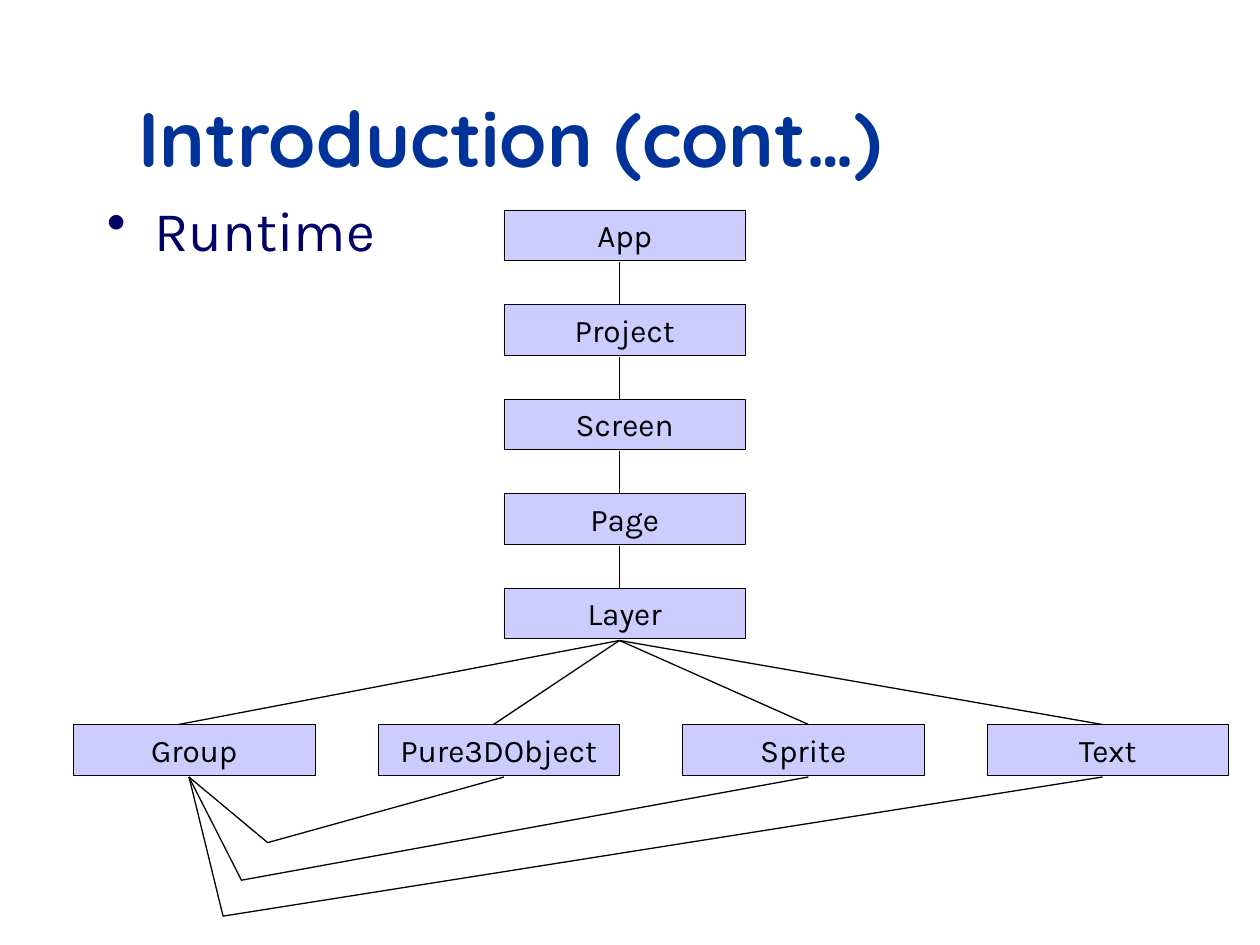
import pptx
import pptx.util
import pptx.dml.color
import pptx.enum.shapes
import pptx.enum.text
import pptx.oxml
import pptx.oxml.ns

Pt = pptx.util.Pt
Align = pptx.enum.text.PP_ALIGN
Anchor = pptx.enum.text.MSO_ANCHOR
Fit = pptx.enum.text.MSO_AUTO_SIZE


def paint(text):
    return pptx.dml.color.RGBColor.from_string(text)


class Deck:
    head = "Quicksand"
    body = "Karla"
    blue = "003399"
    navy = "000066"
    fill = "CCCCFF"
    ink = "000000"

    def __init__(self, width, height):
        self.file = pptx.Presentation()
        self.file.slide_width = Pt(width)
        self.file.slide_height = Pt(height)
        self.slide = None

    def start(self):
        self.slide = self.file.slides.add_slide(self.file.slide_layouts[5])

    def label(self, shape, text, size, font, color, align, anchor, fit):
        frame = shape.text_frame
        frame.word_wrap = True
        frame.auto_size = fit
        frame.vertical_anchor = anchor
        para = frame.paragraphs[0]
        para.alignment = align
        run = para.add_run()
        run.text = text
        run.font.size = Pt(size)
        run.font.name = font
        run.font.color.rgb = paint(color)
        return para, run

    def title(self, text, left, top, width, height):
        shape = self.slide.shapes.title
        shape.left, shape.top = Pt(left), Pt(top)
        shape.width, shape.height = Pt(width), Pt(height)
        para, run = self.label(shape, text, 44, self.head, self.blue,
                               Align.LEFT, Anchor.MIDDLE, Fit.NONE)
        run.font.bold = True

    def bullet(self, text, left, top, width, height):
        shape = self.slide.shapes.add_textbox(Pt(left), Pt(top), Pt(width), Pt(height))
        para, run = self.label(shape, text, 32, self.body, self.navy,
                               Align.LEFT, Anchor.TOP, Fit.NONE)
        props = para._p.get_or_add_pPr()
        props.set("marL", str(Pt(27)))
        props.set("indent", str(-Pt(27)))
        space = pptx.oxml.ns.nsdecls("a")
        for part in (f'<a:buClr {space}><a:srgbClr val="{self.navy}"/></a:buClr>',
                     f'<a:buChar {space} char="•"/>'):
            props.append(pptx.oxml.parse_xml(part))

    def box(self, text, left, top, width, height):
        kind = pptx.enum.shapes.MSO_SHAPE.RECTANGLE
        shape = self.slide.shapes.add_shape(kind, Pt(left), Pt(top), Pt(width), Pt(height))
        shape.shadow.inherit = False
        shape.fill.solid()
        shape.fill.fore_color.rgb = paint(self.fill)
        self.stroke(shape, 0.25)
        self.label(shape, text, 18, self.body, self.ink,
                   Align.CENTER, Anchor.TOP, Fit.SHAPE_TO_FIT_TEXT)

    def stroke(self, shape, width):
        shape.line.color.rgb = paint(self.ink)
        shape.line.width = Pt(width)

    def line(self, *ends):
        kind = pptx.enum.shapes.MSO_CONNECTOR.STRAIGHT
        link = self.slide.shapes.add_connector(kind, *map(Pt, ends))
        self.stroke(link, 0.75)
        props = link._element.spPr
        props.append(props.makeelement(pptx.oxml.ns.qn("a:effectLst"), {}))

    def bend(self, first, *rest):
        form = self.slide.shapes.build_freeform(Pt(first[0]), Pt(first[1]))
        form.add_line_segments([(Pt(x), Pt(y)) for x, y in rest], close=False)
        shape = form.convert_to_shape()
        shape.shadow.inherit = False
        shape.fill.background()
        self.stroke(shape, 0.75)

    def save(self):
        self.file.save("out.pptx")


def main():
    deck = Deck(720, 540)
    deck.start()
    deck.title("Introduction (cont…)", 72, 48, 522, 60)
    deck.bullet("Runtime", 54, 108, 624, 408)

    wide, high = 138, 29
    top, step = 120, 54
    stem, row = 354, 414
    chain = ("App", "Project", "Screen", "Page", "Layer")
    for i, name in enumerate(chain):
        deck.box(name, 288, top + i * step, wide, high)
    for i, name in enumerate(("Group", "Pure3DObject", "Sprite", "Text")):
        deck.box(name, 42 + i * 174, row, wide, high)

    for i in range(len(chain) - 1):
        deck.line(stem, top + 30 + i * step, stem, top + (i + 1) * step)
    for x in (102, 282, 462, 630):
        deck.line(stem, 366, x, row)

    base = row + 30
    for turn, end in (((153, 481.5), 288), ((138, 503), 462), ((127.5, 523.5), 630)):
        deck.bend((108, base), turn, (end, base))
    deck.save()


if __name__ == "__main__":
    main()
